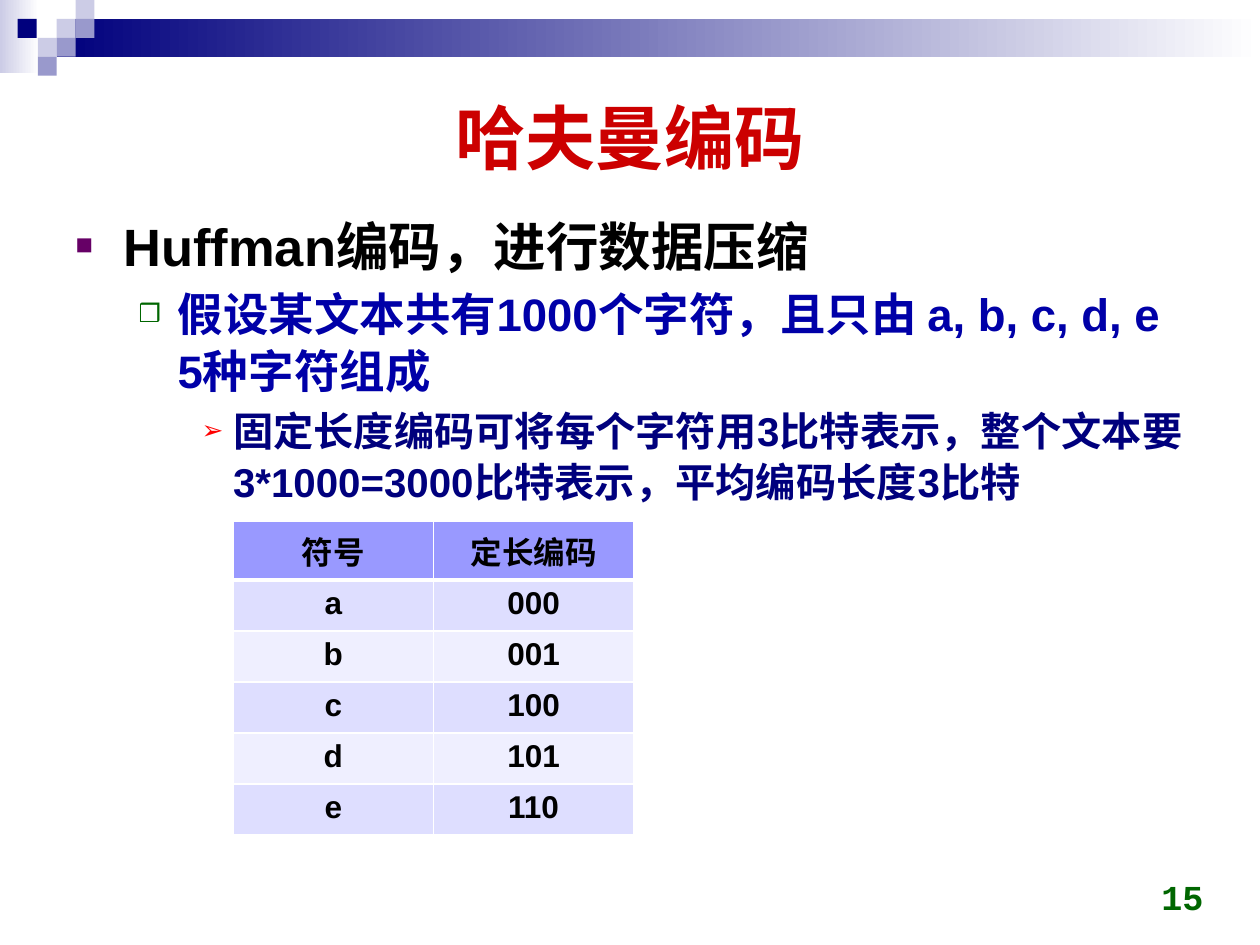
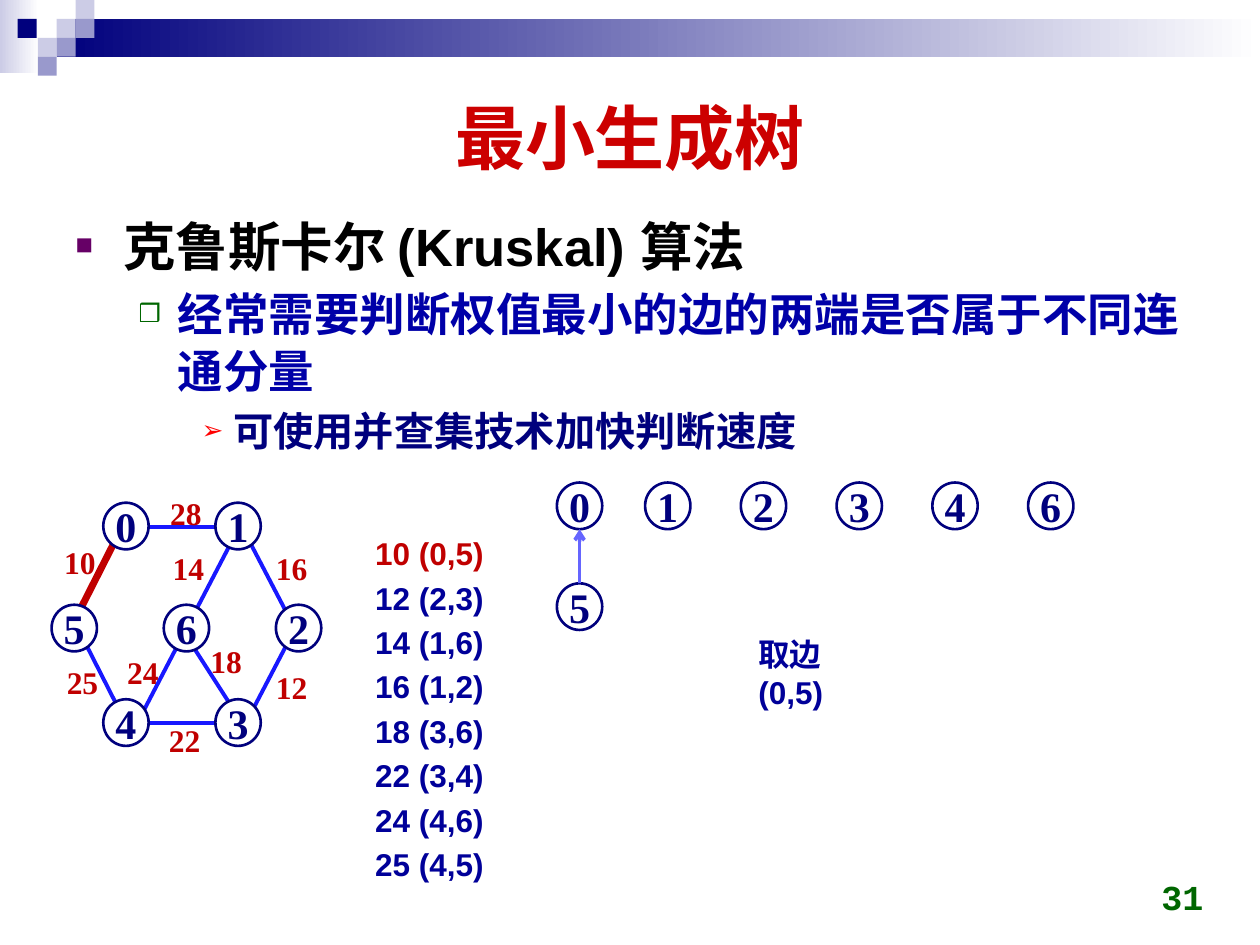
from collections import namedtuple
from dataclasses import dataclass

from lxml.etree import SubElement
from pptx import Presentation
from pptx.dml.color import RGBColor
from pptx.enum.shapes import MSO_CONNECTOR, MSO_SHAPE
from pptx.enum.text import MSO_ANCHOR as Anchor, MSO_AUTO_SIZE as AutoSize, PP_ALIGN as Align
from pptx.oxml.ns import qn
from pptx.util import Inches, Pt

Box = namedtuple("Box", "left top width height")
Bullet = namedtuple("Bullet", "margin hang size colour mark mark_colour mark_percent")


@dataclass(frozen=True)
class Theme:
    """Colours, fonts and type sizes of the whole deck."""
    sans: str = "Arial"
    serif: str = "Times New Roman"
    mono: str = "Courier New"
    white: str = "FFFFFF"
    black: str = "000000"
    navy: str = "00007D"
    pale: str = "CCCCE6"
    lilac: str = "9999CC"
    title: str = "CC0000"
    page: str = "006600"
    accent: str = "C00000"
    note: str = "000099"
    edge: str = "1818FF"
    arrow: str = "6565FF"
    header: str = "9999FF"
    stripes: tuple = ("DEDEFF", "EFEFFF")
    title_size: int = 40
    page_size: int = 20
    node_size: int = 24
    small_size: int = 18
    bullets: tuple = (
        Bullet(0.38, 0.38, 30, "000000", "■", "660066", 55),
        Bullet(0.81, 0.31, 26, "0000A8", "❒", "006600", 55),
        Bullet(1.25, 0.25, 23, "00007D", "➢", "FF0000", 65),
    )


THEME = Theme()
TITLE_BOX = Box(0.5, 0.5, 9, 1.16)
BODY_BOX = Box(0.5, 1.62, 9, 5.2)
PAGE_BOX = Box(7.32, 6.83, 2.33, 0.5)
NODE_WIDTH, NODE_HEIGHT = 0.36, 0.37


def rgb(colour):
    """Turn a hex string into a colour."""
    return RGBColor.from_string(colour)


def inches(*lengths):
    """Convert several lengths to Inches."""
    return [Inches(length) for length in lengths]


def place(shape, box):
    """Move and size a shape to a box."""
    shape.left, shape.top, shape.width, shape.height = inches(*box)


def write(paragraph, text, size=THEME.small_size, colour=THEME.black, font=THEME.sans,
          align=Align.LEFT):
    """Add one bold run to a paragraph, formatted by keyword."""
    paragraph.alignment = align
    run = paragraph.add_run()
    run.text = text
    run.font.size, run.font.name, run.font.bold = Pt(size), font, True
    run.font.color.rgb = rgb(colour)


def add_label(shapes, box, text, wrap=False, grow=True, anchor=Anchor.TOP, **text_format):
    """Add a one-paragraph text box."""
    frame = shapes.add_textbox(*inches(*box)).text_frame
    frame.word_wrap = wrap
    frame.auto_size = AutoSize.SHAPE_TO_FIT_TEXT if grow else AutoSize.NONE
    frame.vertical_anchor = anchor
    write(frame.paragraphs[0], text, **text_format)


def add_block(shapes, box, colour, fade_to=None):
    """Add a borderless rectangle, plain or fading to the right."""
    block = shapes.add_shape(MSO_SHAPE.RECTANGLE, *inches(*box))
    block.shadow.inherit = False
    block.line.fill.background()
    if fade_to:
        block.fill.gradient()
        block.fill.gradient_angle = 0
        for stop, stop_colour in zip(block.fill.gradient_stops, (colour, fade_to)):
            stop.color.rgb = rgb(stop_colour)
    else:
        block.fill.solid()
        block.fill.fore_color.rgb = rgb(colour)


def add_band(slide):
    """Draw the header band and move it to the layout, behind the content."""
    band = slide.shapes.add_group_shape()
    add_block(band.shapes, Box(0, 0, 0.31, 0.58), THEME.pale, THEME.white)
    add_block(band.shapes, Box(0.45, 0.15, 9.55, 0.3), THEME.navy, THEME.white)
    tile = 0.15
    for left, top, colour in (
            (0.45, 0.15, THEME.pale), (0.6, 0, THEME.pale), (0.6, 0.15, THEME.lilac),
            (0.3, 0.3, THEME.pale), (0.14, 0.15, THEME.navy), (0.45, 0.3, THEME.lilac),
            (0.3, 0.45, THEME.lilac)):
        add_block(band.shapes, Box(left, top, tile, tile), colour)
    slide.slide_layout.shapes._spTree.insert(2, band._element)


def style_bullet(paragraph, bullet):
    """Set the spacing, indent and bullet of a list level."""
    paragraph.line_spacing = 1.05
    props = paragraph._p.get_or_add_pPr()
    props.set("marL", str(Inches(bullet.margin)))
    props.set("indent", str(-Inches(bullet.hang)))
    before = SubElement(props, qn("a:spcBef"))
    SubElement(before, qn("a:spcPct"), val="15000")
    mark_colour = SubElement(props, qn("a:buClr"))
    SubElement(mark_colour, qn("a:srgbClr"), val=bullet.mark_colour)
    SubElement(props, qn("a:buSzPct"), val=str(bullet.mark_percent * 1000))
    SubElement(props, qn("a:buChar"), char=bullet.mark)


def add_page(deck, heading, points, page):
    """Add a slide with title, one point per list level, and page number."""
    slide = deck.slides.add_slide(deck.slide_layouts[1])
    title, body = slide.shapes.title, slide.placeholders[1]
    place(title, TITLE_BOX)
    place(body, BODY_BOX)
    for holder in (title, body):
        holder.text_frame.auto_size = AutoSize.NONE
    title.text_frame.vertical_anchor = Anchor.MIDDLE
    write(title.text_frame.paragraphs[0], heading, size=THEME.title_size,
          colour=THEME.title, align=Align.CENTER)
    for level, (point, bullet) in enumerate(zip(points, THEME.bullets)):
        frame = body.text_frame
        paragraph = frame.add_paragraph() if level else frame.paragraphs[0]
        paragraph.level = level
        write(paragraph, point, size=bullet.size, colour=bullet.colour)
        style_bullet(paragraph, bullet)
    add_label(slide.shapes, PAGE_BOX, page, wrap=True, grow=False, anchor=Anchor.BOTTOM,
              size=THEME.page_size, colour=THEME.page, font=THEME.mono, align=Align.RIGHT)
    return slide


def set_borders(cell, **widths):
    """Give a cell white borders with widths in points by side."""
    for side in "LRTB":
        border = SubElement(cell._tc.get_or_add_tcPr(), qn(f"a:ln{side}"),
                            w=str(Pt(widths.get(side, 1))))
        fill = SubElement(border, qn("a:solidFill"))
        SubElement(fill, qn("a:srgbClr"), val=THEME.white)


def add_code_table(slide, box, rows):
    """Add the symbol and code table: header row, then striped rows."""
    table = slide.shapes.add_table(len(rows), len(rows[0]), *inches(*box)).table
    for r, row in enumerate(rows):
        for c, text in enumerate(row):
            cell = table.cell(r, c)
            set_borders(cell, T=3 if r == 1 else 1, B=3 if r == 0 else 1)
            cell.fill.solid()
            cell.fill.fore_color.rgb = rgb(THEME.stripes[(r - 1) % 2] if r else THEME.header)
            write(cell.text_frame.paragraphs[0], text, align=Align.CENTER)


def add_node(shapes, left, top, name):
    """Add a numbered circle."""
    node = shapes.add_shape(MSO_SHAPE.OVAL, *inches(left, top, NODE_WIDTH, NODE_HEIGHT))
    node.shadow.inherit = False
    node.fill.solid()
    node.fill.fore_color.rgb = rgb(THEME.white)
    node.line.color.rgb = rgb(THEME.navy)
    node.line.width = Pt(1.5)
    frame = node.text_frame
    frame.word_wrap = False
    frame.vertical_anchor = Anchor.MIDDLE
    frame.margin_left = frame.margin_right = Inches(0.08)
    frame.margin_top = frame.margin_bottom = Inches(0.06)
    write(frame.paragraphs[0], name, size=THEME.node_size, colour=THEME.navy,
          font=THEME.serif, align=Align.CENTER)


def add_line(shapes, start, end, colour, width, arrow=False):
    """Add a straight line, with an arrowhead at its end if asked."""
    line = shapes.add_connector(MSO_CONNECTOR.STRAIGHT, *inches(*start, *end))
    line.line.color.rgb = rgb(colour)
    line.line.width = Pt(width)
    if arrow:
        SubElement(line.line._get_or_add_ln(), qn("a:tailEnd"), type="arrow")
    SubElement(line._element.spPr, qn("a:effectLst"))


def add_graph(slide, left, top):
    """Draw the weighted graph with its top left corner at the given point."""
    shapes = slide.shapes.add_group_shape().shapes
    edges = (  # x and y of both ends; 4, 6 and 1 lie on one line
        (0.65, 0.31, 1.54, 0.31), (0.65, 1.87, 1.54, 1.87), (1.43, 1.74, 1.07, 1.18),
        (1.9, 1.18, 1.54, 1.87), (1.54, 0.37, 1.9, 1.06), (0.71, 1.81, 1.49, 0.31),
        (0.24, 1.18, 0.59, 1.87))
    chosen_edge = (0.53, 0.37, 0.18, 1.06)
    weights = {"28": (0.84, 0), "10": (0, 0.39), "25": (0.02, 1.34), "14": (0.86, 0.44),
               "24": (0.5, 1.26), "22": (0.83, 1.8), "16": (1.68, 0.44),
               "18": (1.16, 1.18), "12": (1.68, 1.38)}
    rows = ((0.41, 0.12, "01"), (0, 0.93, "562"), (0.41, 1.68, "43"))
    for edge in (*edges, chosen_edge):
        x1, y1, x2, y2 = edge
        colour, width = (THEME.accent, 4) if edge == chosen_edge else (THEME.edge, 2.25)
        add_line(shapes, (left + x1, top + y1), (left + x2, top + y2), colour, width)
    for x, y, names in rows:
        for i, name in enumerate(names):
            add_node(shapes, left + x + 0.89 * i, top + y, name)
    for weight, (x, y) in weights.items():
        add_label(shapes, Box(left + x, top + y, 0.45, 0.4), weight,
                  colour=THEME.accent, font=THEME.serif, align=Align.CENTER)


def add_edge_list(slide, box, edges):
    """List the edges by weight; the first one is chosen."""
    step = (box.height - 0.4) / (len(edges) - 1)
    for i, edge in enumerate(edges):
        add_label(slide.shapes, Box(box.left, box.top + i * step, box.width, 0.4), edge,
                  colour=THEME.note if i else THEME.accent)


def add_disjoint_sets(slide, left, top):
    """Draw the set roots in a row, with node 5 pointing up to root 0."""
    shapes = slide.shapes.add_group_shape().shapes
    child_top = top + 0.8
    middle = left + NODE_WIDTH / 2
    add_node(shapes, left, child_top, "5")
    add_node(shapes, left, top, "0")
    for i, name in enumerate("12346"):
        add_node(shapes, left + 0.7 + 0.76 * i, top, name)
    add_line(shapes, (middle, child_top), (middle, top + NODE_HEIGHT),
             THEME.arrow, 2, arrow=True)


def main():
    """Build and save the deck."""
    deck = Presentation()
    deck.slide_width, deck.slide_height = inches(10, 7.5)

    huffman = add_page(deck, "哈夫曼编码", (
        "Huffman编码，进行数据压缩",
        "假设某文本共有1000个字符，且只由 a, b, c, d, e 5种字符组成",
        "固定长度编码可将每个字符用3比特表示，整个文本要3*1000=3000比特表示，平均编码长度3比特",
    ), "15")
    add_band(huffman)
    add_code_table(huffman, Box(1.85, 4.14, 3.18, 2.43), (
        ("符号", "定长编码"), ("a", "000"), ("b", "001"), ("c", "100"), ("d", "101"),
        ("e", "110")))

    kruskal = add_page(deck, "最小生成树", (
        "克鲁斯卡尔 (Kruskal) 算法",
        "经常需要判断权值最小的边的两端是否属于不同连通分量",
        "可使用并查集技术加快判断速度",
    ), "31")
    add_graph(kruskal, 0.41, 3.87)
    add_edge_list(kruskal, Box(2.88, 4.19, 1.07, 2.87), (
        "10 (0,5)", "12 (2,3)", "14 (1,6)", "16 (1,2)", "18 (3,6)", "22 (3,4)",
        "24 (4,6)", "25 (4,5)"))
    add_disjoint_sets(kruskal, 4.42, 3.83)
    add_label(kruskal.shapes, Box(5.92, 4.99, 1.15, 0.4), "取边(0,5)", wrap=True,
              colour=THEME.note)

    deck.save("out.pptx")


main()
